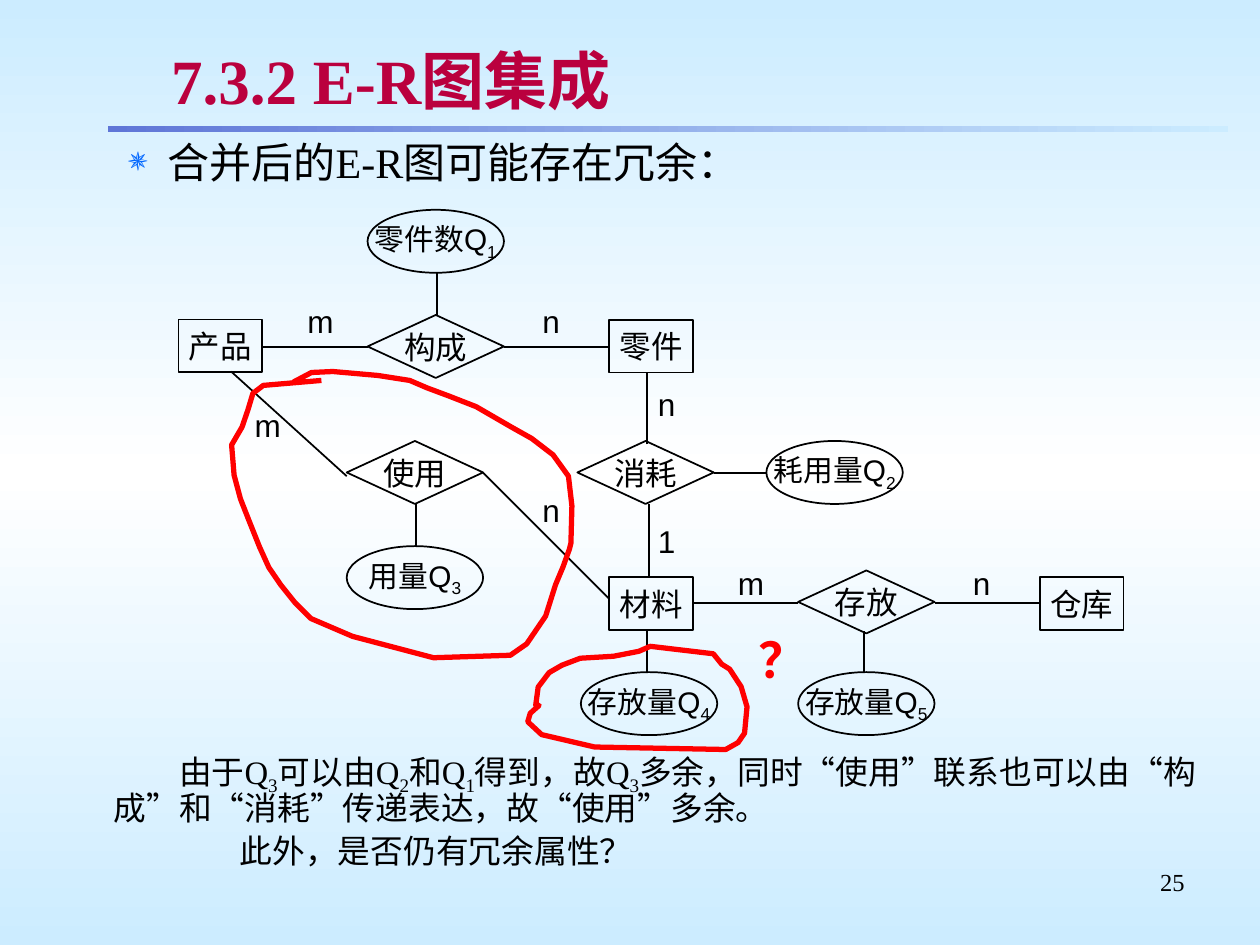
import dataclasses

import lxml.etree
import pptx
import pptx.dml.color
import pptx.enum.shapes
import pptx.enum.text
import pptx.oxml.ns
import pptx.util

Cm = pptx.util.Cm
Pt = pptx.util.Pt
qn = pptx.oxml.ns.qn
ShapeType = pptx.enum.shapes.MSO_SHAPE
Align = pptx.enum.text.PP_ALIGN
Anchor = pptx.enum.text.MSO_ANCHOR


@dataclasses.dataclass(frozen=True)
class Theme:
    ink: str = "000000"
    title: str = "BA003E"
    shadow: str = "C0C0C0"
    bullet: str = "0066FF"
    mark: str = "FF0000"
    sky: tuple = ("CCECFF", "FFFFFF", "CCECFF")
    bar: tuple = ("5F76D7", "CCECFF")
    serif: str = "Times New Roman"
    sans: str = "Arial"
    title_size: float = 36
    question_size: float = 28
    body_size: float = 24
    note_size: float = 18.7
    node_size: float = 18
    attribute_size: float = 17
    number_size: float = 14


def color(value):
    return pptx.dml.color.RGBColor.from_string(value)


def add_xml(parent, tag, **attributes):
    return lxml.etree.SubElement(parent, qn(tag), attributes)


class SlideBuilder:
    def __init__(self, slide, theme):
        self.slide = slide
        self.theme = theme

    def gradient(self, element, fill, colors, angle):
        fill.gradient()
        fill.gradient_angle = angle
        stops = next(element.iter(qn("a:gsLst")))
        for stop in list(stops):
            stops.remove(stop)
        for index, value in enumerate(colors):
            position = index * 100000 // (len(colors) - 1)
            stop = add_xml(stops, "a:gs", pos=str(position))
            add_xml(stop, "a:srgbClr", val=value)

    def background(self):
        self.gradient(self.slide.element, self.slide.background.fill, self.theme.sky, 90)

    def bar(self, left, top, width, height):
        shape = self.slide.shapes.add_shape(
            ShapeType.RECTANGLE, Cm(left), Cm(top), Cm(width), Cm(height))
        shape.shadow.inherit = False
        shape.line.fill.background()
        self.gradient(shape.element, shape.fill, self.theme.bar, 0)

    def set_text(self, paragraph, text, size, font, ink=None, bold=False, align=Align.LEFT):
        first, *rest = text.split("_")
        paragraph.add_run().text = first
        for piece in rest:
            subscript = paragraph.add_run()
            subscript.text = piece[0]
            subscript.font._element.set("baseline", "-25000")
            if piece[1:]:
                paragraph.add_run().text = piece[1:]
        paragraph.alignment = align
        paragraph.font.size = Pt(size)
        paragraph.font.name = font
        paragraph.font.bold = bold
        paragraph.font.color.rgb = color(ink or self.theme.ink)

    def text_box(self, left, top, width, height, anchor=Anchor.TOP, wrap=True):
        shape = self.slide.shapes.add_textbox(Cm(left), Cm(top), Cm(width), Cm(height))
        shape.text_frame.word_wrap = wrap
        shape.text_frame.vertical_anchor = anchor
        return shape.text_frame

    def title(self, text, *box):
        paragraph = self.text_box(*box, anchor=Anchor.MIDDLE).paragraphs[0]
        self.set_text(paragraph, text, self.theme.title_size, self.theme.serif,
                      self.theme.title, bold=True)
        effects = add_xml(paragraph.runs[0].font._element, "a:effectLst")
        shadow = add_xml(effects, "a:outerShdw", dist="35921", dir="2700000")
        add_xml(shadow, "a:srgbClr", val=self.theme.shadow)

    def bullet(self, text, *box):
        paragraph = self.text_box(*box).paragraphs[0]
        paragraph.line_spacing = 0.9
        properties = paragraph._p.get_or_add_pPr()
        properties.set("marL", str(Cm(2.06)))
        properties.set("indent", str(Cm(-0.79)))
        add_xml(add_xml(properties, "a:buClr"), "a:srgbClr", val=self.theme.bullet)
        add_xml(properties, "a:buSzPct", val="80000")
        add_xml(properties, "a:buChar", char="✵")
        self.set_text(paragraph, text, self.theme.body_size, self.theme.serif)

    def notes(self, entries, *box):
        frame = self.text_box(*box)
        for index, (text, indent) in enumerate(entries):
            paragraph = frame.add_paragraph() if index else frame.paragraphs[0]
            paragraph.line_spacing = 0.9
            paragraph.space_before = Pt(4.1 if index else 0)
            properties = paragraph._p.get_or_add_pPr()
            properties.set("marL", str(Cm(0.97)))
            properties.set("indent", str(Cm(indent)))
            self.set_text(paragraph, text, self.theme.note_size, self.theme.serif)

    def caption(self, text, size, font, *box, **style):
        self.set_text(self.text_box(*box).paragraphs[0], text, size, font, **style)

    def node(self, kind, text, left, top, width, height, size):
        shape = self.slide.shapes.add_shape(kind, Cm(left), Cm(top), Cm(width), Cm(height))
        shape.shadow.inherit = False
        shape.fill.background()
        shape.line.color.rgb = color(self.theme.ink)
        shape.line.width = Pt(1)
        frame = shape.text_frame
        frame.word_wrap = False
        frame.vertical_anchor = Anchor.MIDDLE
        self.set_text(frame.paragraphs[0], text, size, self.theme.sans, align=Align.CENTER)

    def entity(self, text, left, top):
        self.node(ShapeType.RECTANGLE, text, left, top, 1.69, 1.06, self.theme.node_size)

    def relationship(self, text, left, top):
        self.node(ShapeType.FLOWCHART_DECISION, text, left, top, 2.75, 1.27,
                  self.theme.node_size)

    def attribute(self, text, left, top):
        self.node(ShapeType.OVAL, text, left, top, 2.75, 1.27, self.theme.attribute_size)

    def cardinality(self, text, left, top):
        frame = self.text_box(left, top, 1.06, 1.06, Anchor.MIDDLE, wrap=False)
        self.set_text(frame.paragraphs[0], text, self.theme.node_size, self.theme.sans,
                      align=Align.CENTER)

    def line(self, *ends):
        connector = self.slide.shapes.add_connector(
            pptx.enum.shapes.MSO_CONNECTOR.STRAIGHT, *map(Cm, ends))
        connector.line.color.rgb = color(self.theme.ink)
        connector.line.width = Pt(1)
        add_xml(connector._element.spPr, "a:effectLst")

    def loop(self, points, close):
        start, *rest = [(Cm(x), Cm(y)) for x, y in points]
        builder = self.slide.shapes.build_freeform(*start)
        builder.add_line_segments(rest, close=close)
        shape = builder.convert_to_shape()
        shape.shadow.inherit = False
        shape.fill.background()
        shape.line.color.rgb = color(self.theme.mark)
        shape.line.width = Pt(3)


ENTITIES = [("产品", 3.6, 6.44), ("零件", 12.28, 6.45), ("材料", 12.28, 11.64),
            ("仓库", 20.96, 11.64)]
RELATIONSHIPS = [("构成", 7.41, 6.35), ("消耗", 11.64, 8.89), ("存放", 16.09, 11.5),
                 ("使用", 6.99, 8.89)]
ATTRIBUTES = [("零件数Q_1", 7.41, 4.23), ("耗用量Q_2", 15.45, 8.89), ("用量Q_3", 6.99, 11.01),
              ("存放量Q_4", 11.71, 13.55), ("存放量Q_5", 16.09, 13.55)]
CARDINALITIES = [("m", 5.93, 5.93), ("n", 10.58, 5.93), ("m", 4.87, 8.04), ("n", 10.58, 9.74),
                 ("n", 12.91, 7.62), ("1", 12.91, 10.37), ("m", 14.61, 11.22),
                 ("n", 19.26, 11.22)]
LINES = [(7.41, 6.99, 5.29, 6.99), (12.28, 6.99, 10.16, 6.99), (13.05, 8.96, 13.05, 7.49),
         (13.08, 11.64, 13.08, 10.16), (16.09, 12.15, 13.97, 12.15),
         (20.96, 12.15, 18.84, 12.15), (8.81, 6.35, 8.81, 5.51), (12.28, 12.07, 9.74, 9.53),
         (6.99, 9.6, 4.66, 7.49), (15.45, 9.53, 14.39, 9.53), (8.38, 11.01, 8.38, 10.16),
         (17.42, 13.57, 17.42, 12.73), (13.05, 13.57, 13.05, 12.73)]
USAGE_LOOP = [
    (6.48, 7.67), (5.31, 7.77), (5.1, 7.93), (5, 8.26), (4.88, 8.61), (4.67, 8.97),
    (4.72, 9.58), (4.85, 10.06), (5.03, 10.52), (5.23, 11.02), (5.42, 11.44), (5.66, 11.79),
    (5.94, 12.14), (6.27, 12.47), (7.11, 12.83), (7.49, 12.93), (8.74, 13.26), (10.29, 13.21),
    (10.62, 12.98), (11, 12.42), (11.2, 11.79), (11.35, 11.43), (11.48, 11.07), (11.51, 10.95),
    (11.53, 10.2), (11.46, 9.6), (11.15, 9.17), (10.72, 8.84), (10.31, 8.61), (9.6, 8.2),
    (9.04, 7.98), (8.61, 7.82), (8.26, 7.67), (7.62, 7.57), (6.71, 7.49), (6.28, 7.51),
    (5.92, 7.7), (6.15, 7.62)]
STORAGE_LOOP = [
    (10.8, 14.22), (10.85, 13.85), (11.07, 13.56), (11.33, 13.41), (11.7, 13.27),
    (12.37, 13.23), (12.88, 13.13), (13.11, 13.03), (14.38, 13.18), (14.55, 13.39),
    (14.71, 13.49), (14.86, 13.72), (14.94, 13.84), (15.06, 14.25), (15.01, 14.78),
    (14.88, 14.97), (14.63, 15.11), (11.99, 15.06), (10.92, 14.81), (10.64, 14.55),
    (10.69, 14.38), (10.87, 14.22)]
NOTES = [("由于Q_3可以由Q_2和Q_1得到，故Q_3多余，同时“使用”联系也可以由“构成”和“消耗”传递表达，故“使用”多余。", 1.32),
         ("此外，是否仍有冗余属性？", 2.54)]


def main():
    presentation = pptx.Presentation()
    presentation.slide_width, presentation.slide_height = Cm(25.4), Cm(19.05)
    theme = Theme()
    builder = SlideBuilder(presentation.slides.add_slide(presentation.slide_layouts[6]), theme)
    builder.background()
    builder.bar(2.18, 2.54, 22.58, 0.13)
    builder.caption("25", theme.number_size, theme.serif, 18.21, 17.35, 5.92, 1.32,
                    align=Align.RIGHT)
    builder.title("7.3.2 E-R图集成", 3.2, 0.74, 20.93, 1.7)
    builder.bullet("合并后的E-R图可能存在冗余：", 1.07, 2.74, 23.5, 1.27)
    builder.notes(NOTES, 1.07, 15.04, 23.5, 2.97)
    for method, items in (
            (builder.entity, ENTITIES), (builder.relationship, RELATIONSHIPS),
            (builder.attribute, ATTRIBUTES), (builder.line, LINES),
            (builder.cardinality, CARDINALITIES)):
        for item in items:
            method(*item)
    builder.loop(USAGE_LOOP, close=False)
    builder.loop(STORAGE_LOOP, close=True)
    builder.caption("？", theme.question_size, theme.sans, 15.04, 12.57, 0.86, 1.45,
                    ink=theme.mark, bold=True)
    presentation.save("out.pptx")


if __name__ == "__main__":
    main()
